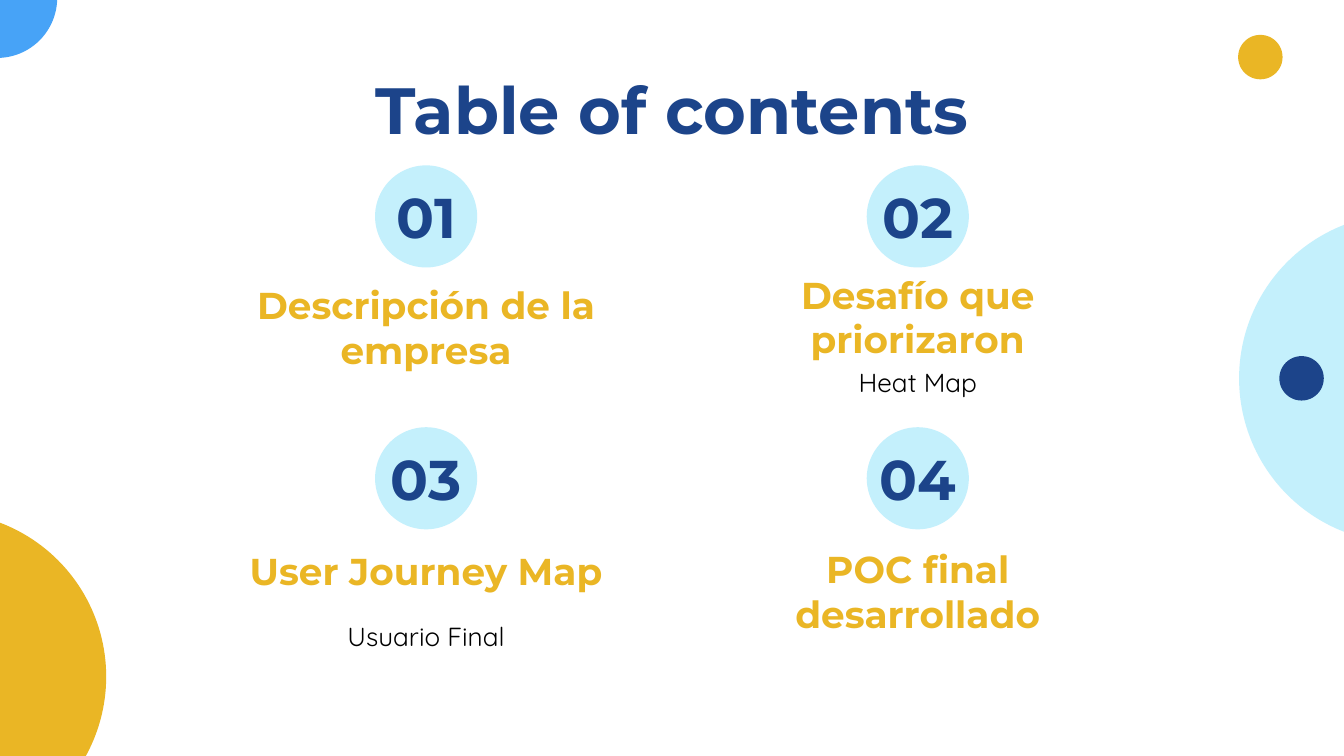
from lxml import etree
from pptx import Presentation
from pptx.dml.color import RGBColor
from pptx.enum.shapes import MSO_SHAPE
from pptx.enum.text import MSO_ANCHOR, MSO_AUTO_SIZE, PP_ALIGN
from pptx.oxml.ns import qn
from pptx.util import Pt

ELLIPSE, PIE = MSO_SHAPE.OVAL, MSO_SHAPE.PIE
MIDDLE, CENTER = MSO_ANCHOR.MIDDLE, PP_ALIGN.CENTER
NO_AUTOFIT = MSO_AUTO_SIZE.NONE
TITLE_ONLY = 5

# Content
TITLE = "Table of contents"
# number, heading, subtitle, heading top, heading width
TOPICS = [
    ("01", "Descripción de la empresa", None, 161.3, 220.3),
    ("02", "Desafío que priorizaron", "Heat Map", 155.5, 220.3),
    ("03", "User Journey Map", "Usuario Final", 291.6, 220.3),
    ("04", "POC final desarrollado", None, 302.4, 239),
]
# left, top, diameter, colour
DECORATIONS = [
    (663.8, 114.5, 176.4, "pale"),
    (685.4, 190.8, 23.8, "navy"),
    (663.3, 18.7, 23.8, "gold"),
    (-119.5, 274.3, 176.4, "gold"),
]
CORNER = (-33.8, -33.4, 64.4, "blue")

THEME = {
    "colors": {"navy": "1C448A", "gold": "EAB625", "blue": "47A3F7",
               "pale": "4CD2F8", "black": "000000"},
    "opacity": {"pale": 33},
    "text": {
        "title": ("Montserrat", 35, True, "navy"),
        "number": ("Montserrat", 30, True, "navy"),
        "heading": ("Montserrat", 20, True, "gold"),
        "subtitle": ("Quicksand", 14, False, "black"),
    },
}

# Layout
SLIDE_WIDTH, SLIDE_HEIGHT = 720, 405
COLUMN_CENTERS = (228.3, 491.7)
ROW_TOPS = (88.6, 228.9)
BADGE = 54.7
NUMBER_OFFSET, NUMBER_WIDTH = 13.3, 70.6
HEADING_HEIGHT = 28.1
SUBTITLE_WIDTH, SUBTITLE_HEIGHT = 220.3, 42.5


def color_of(name):
    return RGBColor.from_string(THEME["colors"][name])


def add_circle(slide, left, top, diameter, color, preset=ELLIPSE):
    shape = slide.shapes.add_shape(
        preset, Pt(left), Pt(top), Pt(diameter), Pt(diameter))
    shape.shadow.inherit = False
    shape.line.fill.background()
    shape.fill.solid()
    shape.fill.fore_color.rgb = color_of(color)
    if color in THEME["opacity"]:
        fill_color = next(shape.element.spPr.iter(qn("a:srgbClr")))
        alpha = etree.SubElement(fill_color, qn("a:alpha"))
        alpha.set("val", str(THEME["opacity"][color] * 1000))
    return shape


def write_text(shape, text, style):
    font_name, size, bold, color = THEME["text"][style]
    frame = shape.text_frame
    frame_format = {
        "word_wrap": True, "auto_size": NO_AUTOFIT, "vertical_anchor": MIDDLE,
        "margin_left": Pt(7.2), "margin_right": Pt(7.2),
        "margin_top": Pt(7.2), "margin_bottom": Pt(7.2),
    }
    for name, value in frame_format.items():
        setattr(frame, name, value)
    paragraph = frame.paragraphs[0]
    paragraph.alignment = CENTER
    run = paragraph.add_run()
    run.text = text
    for name, value in {"name": font_name, "size": Pt(size), "bold": bold}.items():
        setattr(run.font, name, value)
    run.font.color.rgb = color_of(color)


def add_centered_text(slide, text, style, center, top, width, height):
    box = slide.shapes.add_textbox(
        Pt(center - width / 2), Pt(top), Pt(width), Pt(height))
    write_text(box, text, style)


def add_topic(slide, index, topic):
    number, heading, subtitle, heading_top, heading_width = topic
    row, column = divmod(index, len(COLUMN_CENTERS))
    center, top = COLUMN_CENTERS[column], ROW_TOPS[row]
    add_circle(slide, center - BADGE / 2, top, BADGE, "pale")
    add_centered_text(slide, number, "number", center, top + NUMBER_OFFSET,
                      NUMBER_WIDTH, HEADING_HEIGHT)
    add_centered_text(slide, heading, "heading", center, heading_top,
                      heading_width, HEADING_HEIGHT)
    if subtitle:
        add_centered_text(slide, subtitle, "subtitle", center,
                          heading_top + HEADING_HEIGHT,
                          SUBTITLE_WIDTH, SUBTITLE_HEIGHT)


def main():
    presentation = Presentation()
    presentation.slide_width = Pt(SLIDE_WIDTH)
    presentation.slide_height = Pt(SLIDE_HEIGHT)
    slide = presentation.slides.add_slide(presentation.slide_layouts[TITLE_ONLY])

    title = slide.shapes.title
    title_place = {"left": 56.6, "top": 35.3, "width": 606.8, "height": 45.4}
    for name, value in title_place.items():
        setattr(title, name, Pt(value))
    write_text(title, TITLE, "title")

    for decoration in DECORATIONS:
        add_circle(slide, *decoration)
    quarter = add_circle(slide, *CORNER, preset=PIE)
    quarter.adjustments[0] = 108
    quarter.adjustments[1] = 162
    quarter.rotation = 180

    for index, topic in enumerate(TOPICS):
        add_topic(slide, index, topic)

    presentation.save("out.pptx")


if __name__ == "__main__":
    main()
